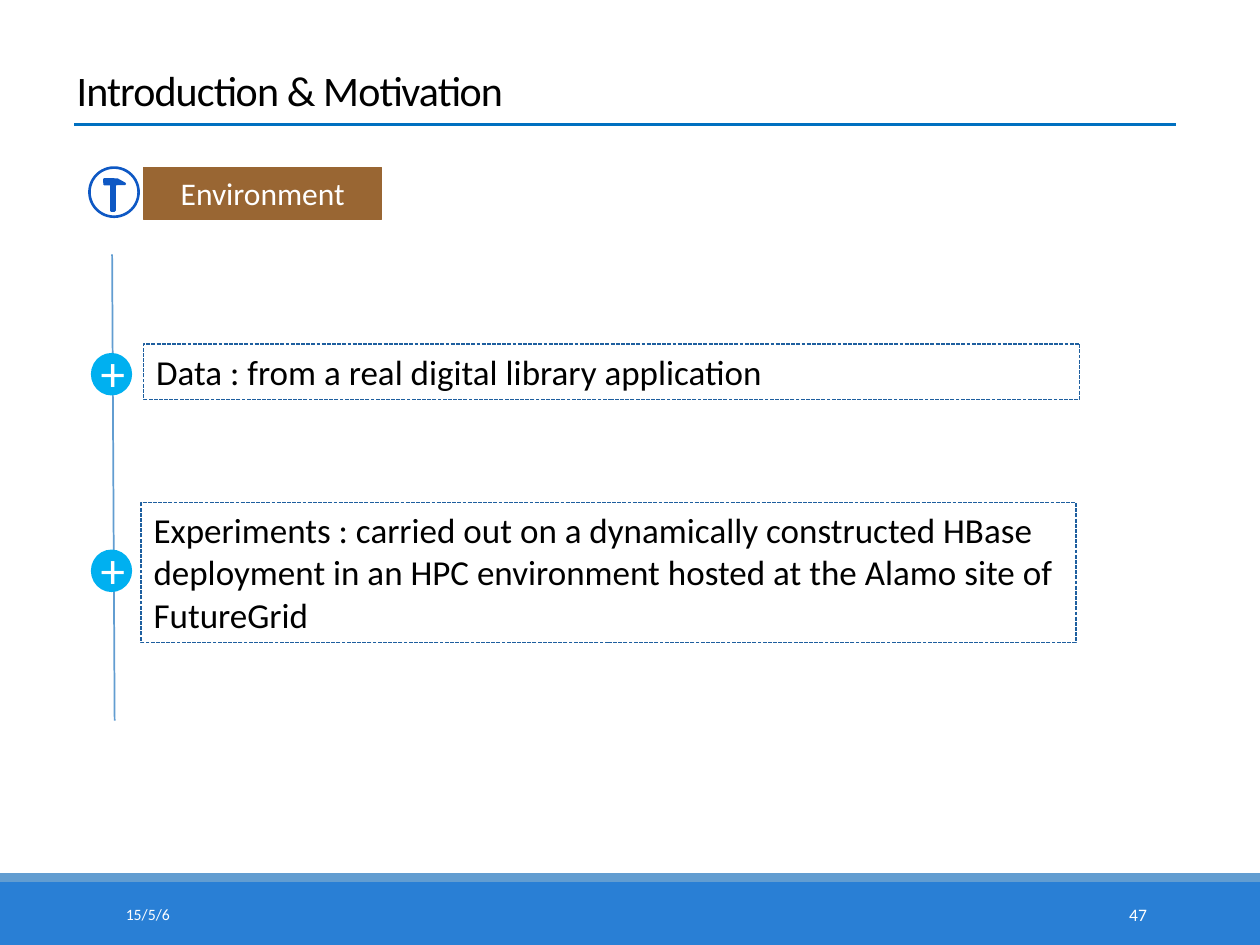
from lxml import etree
from pptx import Presentation, util as u
from pptx.dml.color import RGBColor
from pptx.enum import dml, shapes, text
from pptx.oxml.ns import qn

THEME = {
    "font": "Calibri",
    "ink": "000000", "paper": "FFFFFF",
    "band": "297FD5", "stripe": "629DD1", "rule": "0070C0",
    "badge": "00B0F0", "frame": "1E5F9F", "label": "996633", "hammer": "0E58C4",
    "title": 24, "body": 20, "heading": 18, "plus": 28, "date": 9, "page": 10,
}
KIND = shapes.MSO_SHAPE

deck = Presentation()
deck.slide_width, deck.slide_height = u.Inches(10), u.Inches(7.5)
slide = deck.slides.add_slide(deck.slide_layouts[6])

# The slide is a grid of 100 columns by 75 rows.
COL = deck.slide_width / 100
ROW = deck.slide_height / 75


def draw(parent, kind, cell, fill=None, line=None, width=0.75):
    """Add a shape at cell (left, top, columns, rows); kind None gives a text box."""
    place = [round(n * unit) for n, unit in zip(cell, (COL, ROW, COL, ROW))]
    if kind is None:
        return parent.add_textbox(*place)
    shape = parent.add_shape(kind, *place)
    shape.shadow.inherit = False
    if fill:
        shape.fill.solid()
        shape.fill.fore_color.rgb = RGBColor.from_string(THEME[fill])
    else:
        shape.fill.background()
    if line:
        shape.line.color.rgb = RGBColor.from_string(THEME[line])
        shape.line.width = u.Pt(width)
    else:
        shape.line.fill.background()
    return shape


def write(shape, words, size, color="ink", align="LEFT", anchor="TOP", wrap=True, spacing=None):
    frame = shape.text_frame
    frame.word_wrap = wrap
    frame.vertical_anchor = text.MSO_ANCHOR[anchor]
    paragraph = frame.paragraphs[0]
    paragraph.alignment = text.PP_ALIGN[align]
    run = paragraph.add_run()
    run.text = words
    run.font.name = THEME["font"]
    run.font.size = u.Pt(THEME[size])
    run.font.color.rgb = RGBColor.from_string(THEME[color])
    if spacing is not None:
        run.font._element.set("spc", str(round(spacing * 100)))


# Footer
draw(slide.shapes, KIND.RECTANGLE, (0, 70, 100, 5), fill="band")
draw(slide.shapes, KIND.RECTANGLE, (0, 69.3, 100, 0.7), fill="stripe")
date = draw(slide.shapes, None, (9, 70.6, 20.3, 4))
write(date, "15/5/6", "date", color="paper", anchor="MIDDLE")
page = draw(slide.shapes, None, (81.2, 70.6, 10.8, 4))
write(page, "47", "page", color="paper", align="RIGHT", anchor="MIDDLE")

# Title
title = draw(slide.shapes, None, (5.1, 3.6, 75, 6))
write(title, "Introduction & Motivation", "title", anchor="BOTTOM", spacing=-0.5)

# Title rule and timeline
for start, end, color, width in (
    ((5.9, 9.9), (93.3, 9.9), "rule", 1.5),
    ((8.9, 20.2), (9.1, 57.2), "stripe", 1),
):
    ends = [round(n * unit) for n, unit in zip(start + end, (COL, ROW, COL, ROW))]
    connector = slide.shapes.add_connector(shapes.MSO_CONNECTOR.STRAIGHT, *ends)
    connector.line.color.rgb = RGBColor.from_string(THEME[color])
    connector.line.width = u.Pt(width)
    etree.SubElement(connector._element.spPr, qn("a:effectLst"))

# Timeline points
for badge_top, cell, words in (
    (28.1, (11.4, 27.3, 74.3, 4.4), "Data : from a real digital library application"),
    (43.7, (11.2, 39.9, 74.2, 11.1),
     "Experiments : carried out on a dynamically constructed HBase deployment "
     "in an HPC environment hosted at the Alamo site of FutureGrid"),
):
    badge = slide.shapes.add_group_shape().shapes
    draw(badge, KIND.OVAL, (7.3, badge_top, 3.1, 3.2), fill="badge", line="badge", width=1.25)
    plus = draw(badge, None, (7, badge_top - 1.4, 3.8, 5.7))
    write(plus, "+", "plus", color="paper", wrap=False)
    point = draw(slide.shapes, KIND.RECTANGLE, cell, line="frame")
    point.line.dash_style = dml.MSO_LINE.SQUARE_DOT
    write(point, words, "body")

# Section heading with its hammer icon
heading = draw(slide.shapes, KIND.RECTANGLE, (11.4, 13.3, 18.9, 4.1), fill="label", line="label")
write(heading, "Environment", "heading", color="paper", align="CENTER")
hammer = slide.shapes.add_group_shape().shapes
for kind, cell, angle in (
    (KIND.DIAGONAL_STRIPE, (8.4, 14.2, 1.4, 0.8), 28.9),
    (KIND.RECTANGLE, (8.3, 14.2, 0.7, 0.3), 0),
    (KIND.RECTANGLE, (8.8, 14.6, 0.3, 2.1), 0),
):
    draw(hammer, kind, cell, fill="hammer", line="hammer", width=1.5).rotation = angle
draw(slide.shapes, KIND.OVAL, (7.1, 13.3, 3.9, 3.9), line="hammer", width=1.5)

deck.save("out.pptx")
